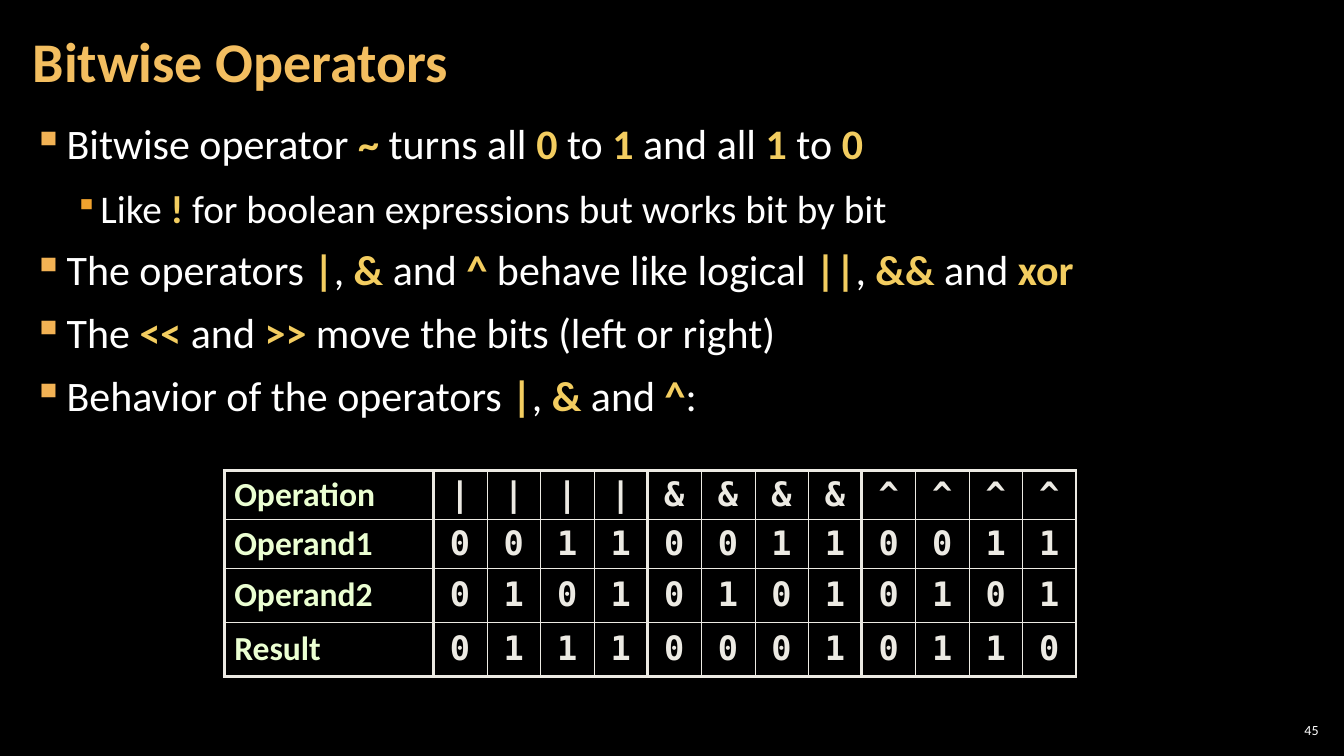
from lxml import etree
from pptx import Presentation
from pptx import util as u
from pptx.dml.color import RGBColor
from pptx.enum import text
from pptx.oxml import ns

BLACK = RGBColor(0x00, 0x00, 0x00)
WHITE = RGBColor(0xFF, 0xFF, 0xFF)
TITLE_GOLD = RGBColor(0xF3, 0xBE, 0x60)
CODE_GOLD = RGBColor(0xF3, 0xCD, 0x60)
BULLET_ORANGE = RGBColor(0xF2, 0xB2, 0x54)
SUB_BULLET_ORANGE = RGBColor(0xF0, 0xA2, 0x2E)
LABEL_GREEN = RGBColor(0xEB, 0xFF, 0xD2)
GRID_GREY = RGBColor(0xEC, 0xEA, 0xE3)

SANS = "Calibri"
MONO = "DejaVu Sans Mono"

# Text between asterisks is highlighted.
BULLETS = [
    (0, "Bitwise operator *~ *turns all *0* to *1* and all *1* to *0*"),
    (1, "Like *! *for boolean expressions but works bit by bit"),
    (0, "The operators *|*, *&* and *^* behave like logical *||*, *&&* and *xor*"),
    (0, "The *<<* and *>>* move the bits (left or right)"),
    (0, "Behavior of the operators *|*, *&* and *^*:"),
]
BULLET_LEVELS = [
    dict(size=30, left=0.85, hanging=0.85, color=BULLET_ORANGE, percent=100),
    dict(size=28, left=1.7, hanging=0.64, color=SUB_BULLET_ORANGE, percent=80),
]
TRUTH_TABLE = [
    ("Operation", "||||&&&&^^^^"),
    ("Operand1", "0011" * 3),
    ("Operand2", "0101" * 3),
    ("Result", "011100010110"),
]
LABEL_WIDTH, BIT_WIDTH = 5.27, 1.35
ROW_HEIGHTS = [1.23, 1.23, 1.36, 1.36]
THIN, THICK = 0.25, 2.25


def set_all(target, values):
    for name, value in values.items():
        setattr(target, name, value)


def add_element(parent, tag, **attributes):
    element = etree.SubElement(parent, ns.qn(tag))
    for name, value in attributes.items():
        element.set(name, str(value))
    return element


class SlideBuilder:
    def __init__(self, presentation):
        self.slide = presentation.slides.add_slide(presentation.slide_layouts[6])
        fill = self.slide.background.fill
        fill.solid()
        fill.fore_color.rgb = BLACK

    def run(self, paragraph, words, size, color, bold=False, name=SANS):
        run = paragraph.add_run()
        run.text = words
        set_all(run.font, dict(size=u.Pt(size), bold=bold, name=name))
        run.font.color.rgb = color

    def text_box(self, left, top, width, height, side_margin=0.3,
                 anchor=text.MSO_ANCHOR.MIDDLE):
        shape = self.slide.shapes.add_textbox(
            u.Cm(left), u.Cm(top), u.Cm(width), u.Cm(height))
        frame = shape.text_frame
        set_all(frame, dict(
            word_wrap=True, vertical_anchor=anchor,
            margin_left=u.Cm(side_margin), margin_right=u.Cm(side_margin),
            margin_top=u.Cm(0.1), margin_bottom=u.Cm(0.1)))
        return frame

    def title(self, words):
        paragraph = self.text_box(0.53, 0.1, 26.6, 3.07).paragraphs[0]
        paragraph.line_spacing = 0.9
        self.run(paragraph, words, 40, TITLE_GOLD, bold=True)

    def page_number(self, words):
        frame = self.text_box(32.13, 18.13, 1.2, 0.54, side_margin=0.1)
        paragraph = frame.paragraphs[0]
        paragraph.alignment = text.PP_ALIGN.RIGHT
        self.run(paragraph, words, 10, WHITE)

    def bullets(self, items):
        frame = self.text_box(0.53, 2.87, 32.8, 15.47, anchor=text.MSO_ANCHOR.TOP)
        for index, (level, marked_text) in enumerate(items):
            paragraph = frame.paragraphs[0] if index == 0 else frame.add_paragraph()
            style = BULLET_LEVELS[level]
            self.bullet_mark(paragraph, style)
            set_all(paragraph, dict(
                level=level, line_spacing=u.Pt(36),
                space_before=u.Pt(3 if index else 0), space_after=u.Pt(6)))
            for part, words in enumerate(marked_text.split("*")):
                if words:
                    marked = part % 2 == 1
                    self.run(paragraph, words, style["size"],
                             CODE_GOLD if marked else WHITE, bold=marked)

    def bullet_mark(self, paragraph, style):
        properties = paragraph._p.get_or_add_pPr()
        properties.set("marL", str(u.Cm(style["left"])))
        properties.set("indent", str(-u.Cm(style["hanging"])))
        color = add_element(properties, "a:buClr")
        add_element(color, "a:srgbClr", val=style["color"])
        add_element(properties, "a:buSzPct", val=style["percent"] * 1000)
        add_element(properties, "a:buChar", char="▪")

    def truth_table(self, left, top, rows):
        bit_count = len(rows[0][1])
        table = self.slide.shapes.add_table(
            len(rows), bit_count + 1, u.Cm(left), u.Cm(top),
            u.Cm(LABEL_WIDTH + bit_count * BIT_WIDTH), u.Cm(sum(ROW_HEIGHTS))).table
        set_all(table, dict(first_row=False, horz_banding=False))
        for index, column in enumerate(table.columns):
            column.width = u.Cm(BIT_WIDTH if index else LABEL_WIDTH)
        for row, height in zip(table.rows, ROW_HEIGHTS):
            row.height = u.Cm(height)
        for row, (label, bits) in enumerate(rows):
            for column, words in enumerate([label, *bits]):
                self.cell(table.cell(row, column), row, column, words)

    def cell(self, cell, row, column, words):
        self.cell_borders(cell, row, column)
        cell.fill.background()
        cell.vertical_anchor = text.MSO_ANCHOR.MIDDLE
        paragraph = cell.text_frame.paragraphs[0]
        paragraph.line_spacing = 0.95
        if column == 0:
            self.run(paragraph, words, 24, LABEL_GREEN, bold=True)
            return
        for side in ("left", "right", "top", "bottom"):
            setattr(cell, f"margin_{side}", u.Cm(0.1))
        paragraph.alignment = text.PP_ALIGN.CENTER
        self.run(paragraph, words, 24, GRID_GREY, bold=True, name=MONO)

    def cell_borders(self, cell, row, column):
        """Thick lines frame the table, the labels and each group of four bits."""
        def is_thick_column(edge):
            return edge == 0 or edge % 4 == 1

        thick_sides = {
            "a:lnL": is_thick_column(column),
            "a:lnR": is_thick_column(column + 1),
            "a:lnT": row == 0,
            "a:lnB": row + 1 == len(ROW_HEIGHTS),
        }
        properties = cell._tc.get_or_add_tcPr()
        for tag, thick in thick_sides.items():
            line = add_element(properties, tag, w=u.Pt(THICK if thick else THIN))
            add_element(add_element(line, "a:solidFill"), "a:srgbClr", val=GRID_GREY)


def main():
    presentation = Presentation()
    set_all(presentation, dict(slide_width=u.Cm(33.87), slide_height=u.Cm(19.05)))
    builder = SlideBuilder(presentation)
    builder.page_number("45")
    builder.bullets(BULLETS)
    builder.title("Bitwise Operators")
    builder.truth_table(5.65, 11.86, TRUTH_TABLE)
    presentation.save("out.pptx")


if __name__ == "__main__":
    main()
